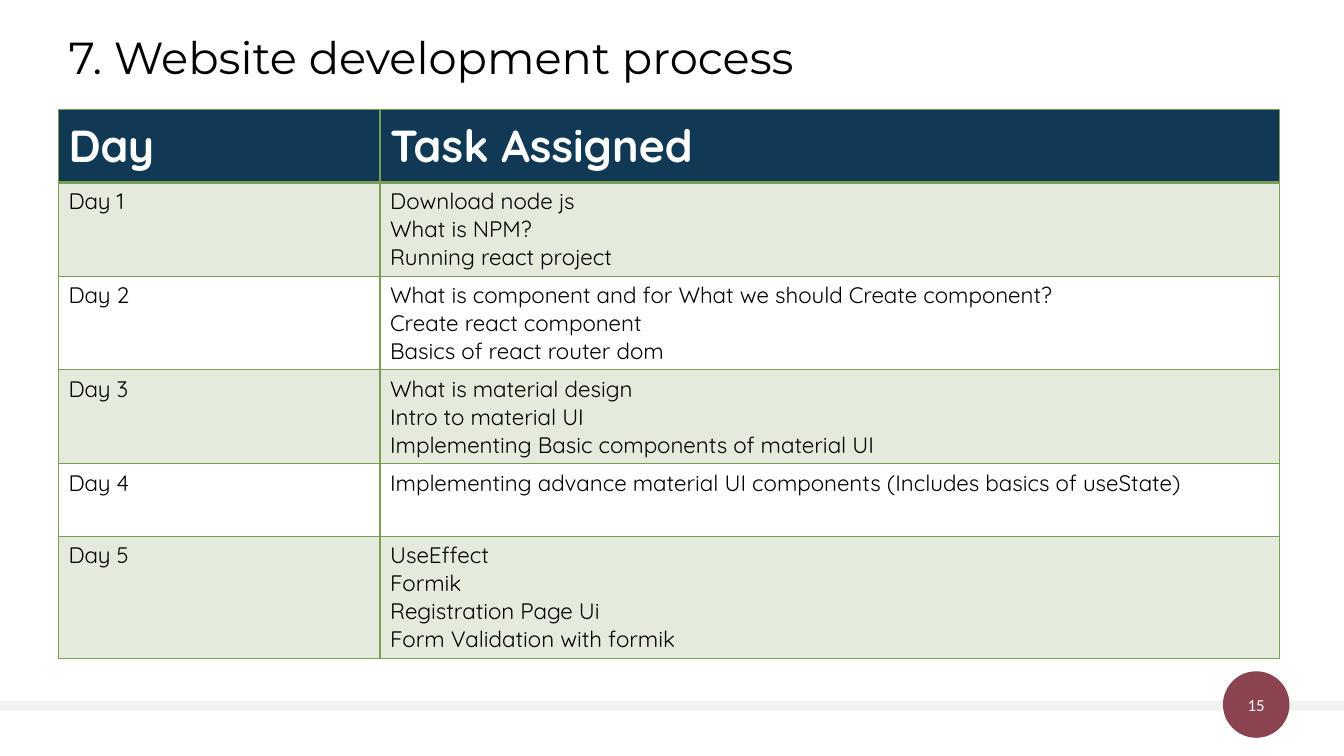
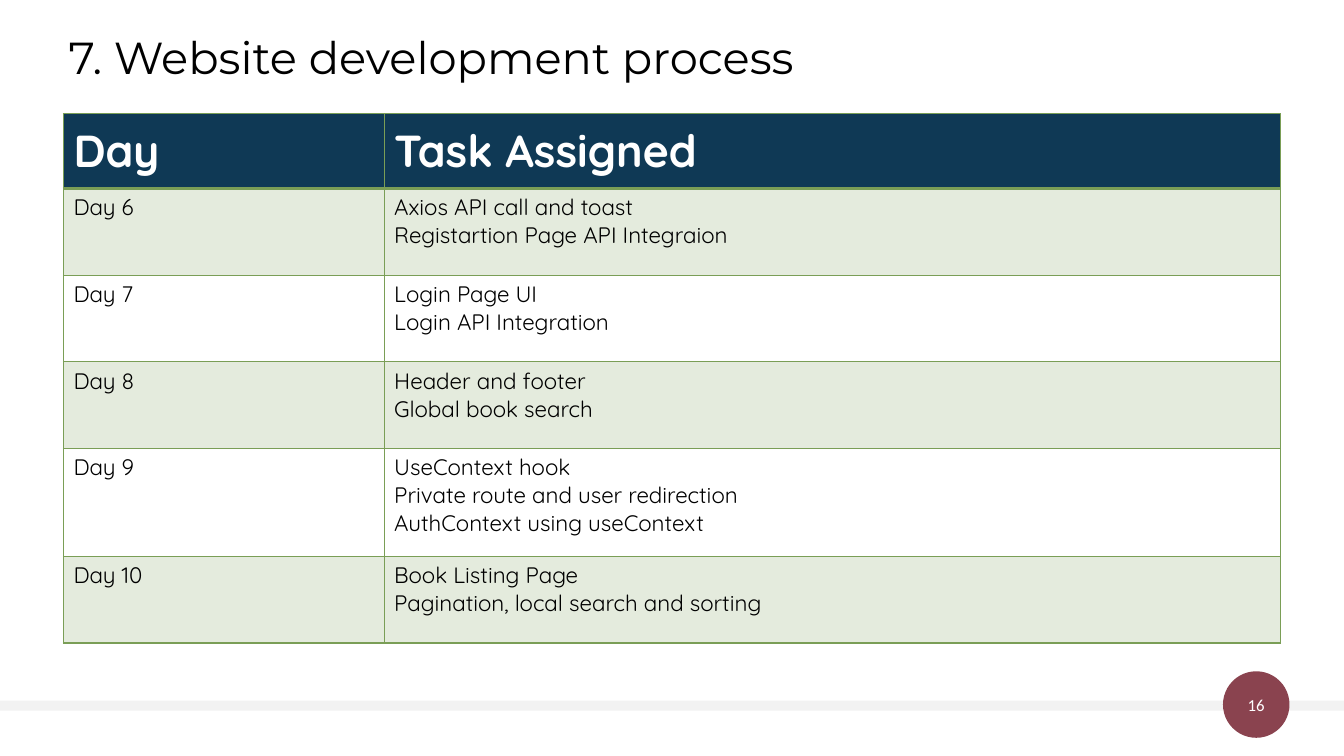
"""Build two slides that list the daily tasks of a website project."""
from dataclasses import dataclass
from typing import Any

from lxml import etree
from pptx import Presentation
from pptx.dml.color import RGBColor
from pptx.enum import shapes, text
from pptx.oxml import ns
from pptx.util import Inches, Pt

WHITE = RGBColor(0xFF, 0xFF, 0xFF)
BLACK = RGBColor(0x00, 0x00, 0x00)
GREY = RGBColor(0xF2, 0xF2, 0xF2)
WINE = RGBColor(0x8A, 0x43, 0x4F)
NAVY = RGBColor(0x0F, 0x39, 0x55)
GREEN = RGBColor(0x7A, 0x9E, 0x56)

WIDE, HIGH = 13.33, 7.5
TITLE = "7. Website development process"
HEADS = ("Day", "Task Assigned")
PLAIN = "{2D5ABB26-0587-4C30-8999-92F81FD0307C}"


@dataclass(frozen=True)
class Task:
    """One day, its tasks and its row height."""
    day: int
    lines: tuple[str, ...]
    high: float


@dataclass(frozen=True)
class Plan:
    """The page number and the table of one slide."""
    page: int
    left: float
    top: float
    cols: tuple[float, float]
    head: float
    tasks: tuple[Task, ...]


PLANS = (
    Plan(15, 0.58, 1.09, (3.19, 8.92), 0.72, (
        Task(1, ("Download node js", "What is NPM?", "Running react project"), 0.93),
        Task(2, ("What is component and for What we should Create component?",
                 "Create react component", "Basics of react router dom"), 0.93),
        Task(3, ("What is material design", "Intro to material UI",
                 "Implementing Basic components of material UI"), 0.93),
        Task(4, ("Implementing advance material UI components "
                 "(Includes basics of useState)",), 0.72),
        Task(5, ("UseEffect", "Formik", "Registration Page Ui",
                 "Form Validation with formik"), 1.21),
    )),
    Plan(16, 0.63, 1.13, (3.18, 8.89), 0.74, (
        Task(6, ("Axios API call and toast", "Registartion Page API Integraion"), 0.86),
        Task(7, ("Login Page UI", "Login API Integration"), 0.86),
        Task(8, ("Header and footer", "Global book search"), 0.86),
        Task(9, ("UseContext hook", "Private route and user redirection",
                 "AuthContext using useContext"), 1.07),
        Task(10, ("Book Listing Page", "Pagination, local search and sorting"), 0.86),
    )),
)


def write(frame: Any, *lines: str, font: str = "Quicksand", size: int = 16,
          color: RGBColor = BLACK, bold: bool = False,
          align: Any = text.PP_ALIGN.LEFT) -> None:
    """Fill a text frame with one paragraph per line."""
    for i, line in enumerate(lines):
        para = frame.paragraphs[0] if i == 0 else frame.add_paragraph()
        para.alignment = align
        run = para.add_run()
        run.text = line
        run.font.name, run.font.size, run.font.bold = font, Pt(size), bold
        run.font.color.rgb = color


def place(item: Any, left: float, top: float, wide: float, high: float) -> None:
    """Move and size an item, in inches."""
    item.left, item.top = Inches(left), Inches(top)
    item.width, item.height = Inches(wide), Inches(high)


def draw(slide: Any, kind: Any, color: RGBColor, left: float, top: float,
         wide: float, high: float) -> Any:
    """Add a flat shape without an outline."""
    shape = slide.shapes.add_shape(
        kind, Inches(left), Inches(top), Inches(wide), Inches(high))
    shape.shadow.inherit = False
    shape.fill.solid()
    shape.fill.fore_color.rgb = color
    shape.line.fill.background()
    return shape


def frame_up(slide: Any, page: int) -> None:
    """Add the title, the bottom band and the page badge."""
    title = slide.shapes.title
    place(title, 0.58, 0.24, 11.97, 0.64)
    title.text_frame.word_wrap = True
    title.text_frame.auto_size = text.MSO_AUTO_SIZE.SHAPE_TO_FIT_TEXT
    write(title.text_frame, TITLE, font="Montserrat", size=32)
    draw(slide, shapes.MSO_SHAPE.RECTANGLE, GREY, 0, 6.95, WIDE, 0.1)
    badge = draw(slide, shapes.MSO_SHAPE.OVAL, WINE, 12.13, 6.66, 0.66, 0.66)
    box = badge.text_frame
    box.margin_left = box.margin_right = box.margin_top = box.margin_bottom = 0
    box.vertical_anchor = text.MSO_ANCHOR.MIDDLE
    write(box, str(page), font="Calibri", size=12, color=WHITE,
          align=text.PP_ALIGN.CENTER)


def edge(cell: Any, base: int = 1) -> None:
    """Draw green cell borders, with the bottom one of the given width."""
    props = cell._tc.get_or_add_tcPr()
    for side in "LRTB":
        size = Pt(base if side == "B" else 1)
        line = etree.SubElement(props, ns.qn(f"a:ln{side}"), w=str(size))
        fill = etree.SubElement(line, ns.qn("a:solidFill"))
        etree.SubElement(fill, ns.qn("a:srgbClr"), val=str(GREEN))


def tint(cell: Any, color: RGBColor, share: int = 100) -> None:
    """Fill a cell with a colour at the given percentage."""
    cell.fill.solid()
    cell.fill.fore_color.rgb = color
    if share < 100:
        for mark in cell._tc.tcPr.find(ns.qn("a:solidFill")):
            etree.SubElement(mark, ns.qn("a:alpha"), val=str(share * 1000))


def chart_days(slide: Any, plan: Plan) -> None:
    """Add the table of days and tasks."""
    highs = [plan.head, *(task.high for task in plan.tasks)]
    item = slide.shapes.add_table(
        len(highs), len(HEADS), Inches(plan.left), Inches(plan.top),
        Inches(sum(plan.cols)), Inches(sum(highs)))
    for style in item.element.iter(ns.qn("a:tableStyleId")):
        style.text = PLAIN
    table = item.table
    for col, wide in zip(table.columns, plan.cols):
        col.width = Inches(wide)
    for row, high in zip(table.rows, highs):
        row.height = Inches(high)
    for cell, head in zip(table.rows[0].cells, HEADS):
        edge(cell, base=2)
        tint(cell, NAVY)
        cell.vertical_anchor = text.MSO_ANCHOR.MIDDLE
        write(cell.text_frame, head, size=32, color=WHITE, bold=True)
    for i, task in enumerate(plan.tasks, 1):
        for cell, lines in zip(table.rows[i].cells, ((f"Day {task.day}",), task.lines)):
            edge(cell)
            if i % 2:
                tint(cell, GREEN, share=20)
            else:
                cell.fill.background()
            write(cell.text_frame, *lines)


def main() -> None:
    """Build and save the slides."""
    deck = Presentation()
    deck.slide_width, deck.slide_height = Inches(WIDE), Inches(HIGH)
    for plan in PLANS:
        slide = deck.slides.add_slide(deck.slide_layouts[5])
        frame_up(slide, plan.page)
        chart_days(slide, plan)
    deck.save("out.pptx")


if __name__ == "__main__":
    main()
